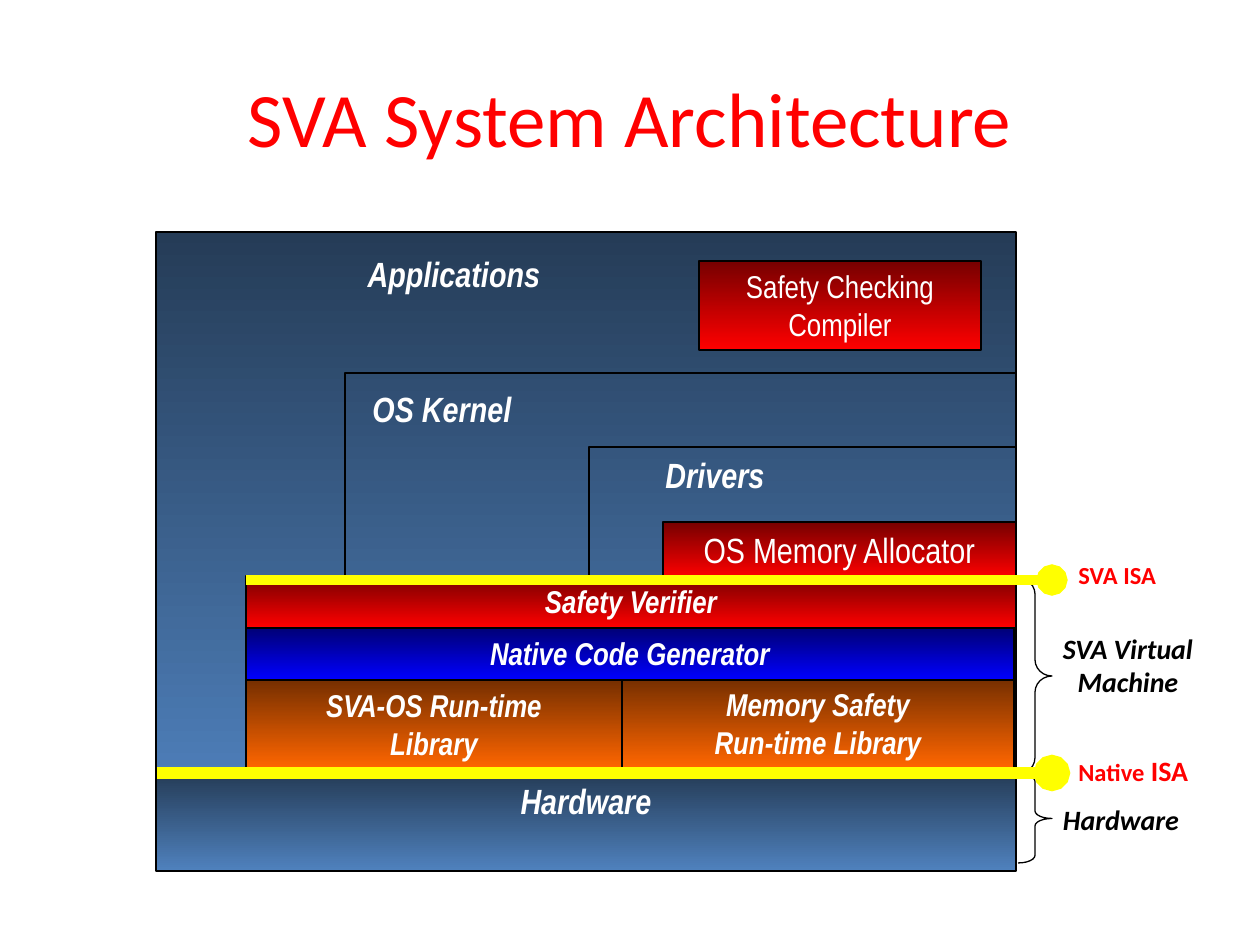
from lxml.etree import SubElement
from pptx import Presentation
from pptx.dml.color import RGBColor
from pptx.enum.shapes import MSO_CONNECTOR, MSO_SHAPE
from pptx.enum.text import MSO_ANCHOR, PP_ALIGN
from pptx.oxml.ns import qn
from pptx.util import Emu, Pt

EMU_PER_PX = 914400 / 126
COLORS = {
    "black": "000000", "white": "FFFFFF", "red": "FF0000", "yellow": "FFFF00",
    "dark red": "760000", "blue": "0000FF", "dark blue": "000076",
    "orange": "FF6600", "dark orange": "762F00",
    "steel": "4F81BD", "dark steel": "253C57",
}


def px(value):
    return Emu(round(value * EMU_PER_PX))


def color(name):
    return RGBColor.from_string(COLORS[name])


def add_run(paragraph, text, size, font, ink, bold, italic):
    run = paragraph.add_run()
    run.text = text
    run.font.size = Pt(size)
    run.font.name = font
    run.font.bold = bold
    run.font.italic = italic
    run.font.color.rgb = color(ink)


def write_text(shape, lines, size=18, font="Arial Narrow", ink="white", bold=True,
               italic=True, align=PP_ALIGN.CENTER, anchor=MSO_ANCHOR.TOP, wrap=True):
    frame = shape.text_frame
    frame.word_wrap = wrap
    frame.vertical_anchor = anchor
    for index, line in enumerate(lines):
        paragraph = frame.add_paragraph() if index else frame.paragraphs[0]
        paragraph.alignment = align
        runs = [(line, size)] if isinstance(line, str) else line
        for text, run_size in runs:
            add_run(paragraph, text, run_size, font, ink, bold, italic)


def add_outlined(slide, preset, box):
    shape = slide.shapes.add_shape(preset, *map(px, box))
    shape.shadow.inherit = False
    shape.fill.background()
    shape.line.color.rgb = color("black")
    shape.line.width = Pt(0.75)
    return shape


def add_block(slide, box, hue, lines=(), **text_format):
    shape = add_outlined(slide, MSO_SHAPE.RECTANGLE, box)
    shape.fill.gradient()
    shape.fill.gradient_angle = 270
    for stop, name in zip(shape.fill.gradient_stops, ("dark " + hue, hue)):
        stop.color.rgb = color(name)
    write_text(shape, lines, **text_format)


def add_brace(slide, box, curve):
    brace = add_outlined(slide, MSO_SHAPE.RIGHT_BRACE, box)
    brace.adjustments[0] = curve
    brace.adjustments[1] = 0.5


def add_label(slide, box, lines, **text_format):
    write_text(slide.shapes.add_textbox(*map(px, box)), lines, **text_format)


def add_interface_line(slide, left, right, y, width):
    line = slide.shapes.add_connector(
        MSO_CONNECTOR.STRAIGHT, px(left), px(y), px(right), px(y))
    line.line.color.rgb = color("yellow")
    line.line.width = Pt(width)
    properties = line._element.spPr
    SubElement(properties.find(qn("a:ln")), qn("a:tailEnd"), type="oval")
    SubElement(properties, qn("a:effectLst"))


def main():
    presentation = Presentation()
    presentation.slide_width, presentation.slide_height = px(1260), px(945)
    slide = presentation.slides.add_slide(presentation.slide_layouts[6])

    add_label(slide, (63, 38, 1134, 157), ["SVA System Architecture"], size=44,
              font="Calibri", ink="red", bold=False, italic=False,
              anchor=MSO_ANCHOR.MIDDLE)

    add_block(slide, (156, 232, 860, 578), "steel")
    add_outlined(slide, MSO_SHAPE.RECTANGLE, (345, 373, 671, 436))
    add_outlined(slide, MSO_SHAPE.RECTANGLE, (589, 447, 427, 364))
    for center, top, name in ((454, 246, "Applications"), (442, 381, "OS Kernel"),
                              (715, 447, "Drivers")):
        add_label(slide, (center - 130, top, 260, 68), [name], size=20, wrap=False)

    add_block(slide, (699, 261, 282, 89), "red", ["Safety Checking Compiler"],
              bold=False, italic=False)
    add_block(slide, (663, 522, 353, 56), "red", ["OS Memory Allocator"], size=20,
              bold=False, italic=False)
    add_block(slide, (622, 679, 392, 89), "orange",
              ["Memory Safety", "Run-time Library"])
    add_block(slide, (246, 628, 768, 52), "blue", ["Native Code Generator"])
    add_block(slide, (246, 680, 376, 89), "orange", ["SVA-OS Run-time", "Library"])
    add_block(slide, (246, 576, 770, 52), "red", ["Safety Verifier"])
    add_block(slide, (156, 773, 860, 98), "steel", ["Hardware"], size=20)

    add_brace(slide, (1018, 578, 34, 196), 0.48)
    add_brace(slide, (1018, 774, 34, 89), 0.22)
    for left, top, height, name in ((1023, 625, 81, "SVA Virtual Machine"),
                                    (1016, 796, 47, "Hardware")):
        add_label(slide, (left, top, 210, height), [name], size=16,
                  font="Calibri", ink="black")

    add_interface_line(slide, 246, 1052, 580, 6)
    add_interface_line(slide, 157, 1052, 773, 7)
    for top, runs in ((554, [("SVA ISA", 14)]),
                      (747, [("Native", 14), (" ISA", 16)])):
        add_label(slide, (1066, top, 154, 46), [runs], font="Calibri", ink="red",
                  italic=False, align=PP_ALIGN.LEFT, wrap=False)

    presentation.save("out.pptx")


if __name__ == "__main__":
    main()
